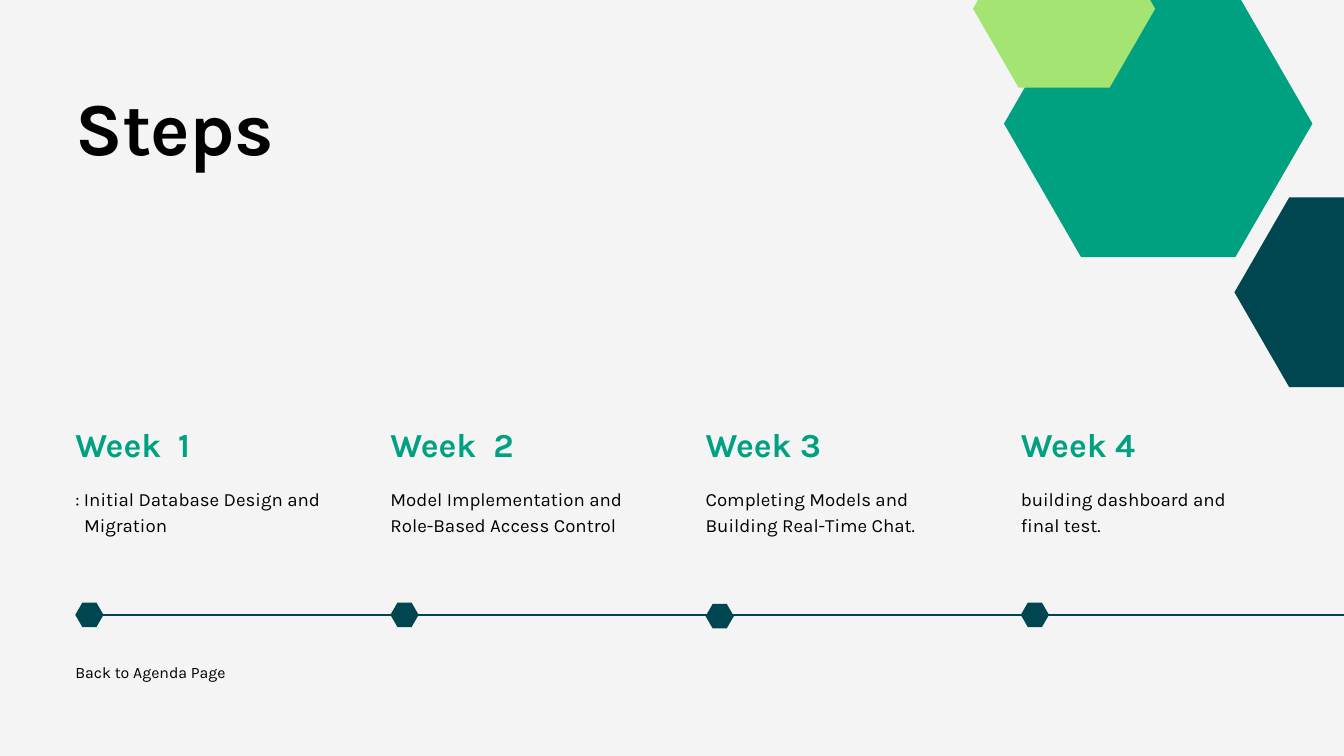
from pptx import Presentation
from pptx import util as u
from pptx.dml.color import RGBColor
from pptx.enum import shapes, text
from pptx.oxml.ns import qn
from lxml import etree

FONT = "Karla"
BLACK, GREEN, LIME, NAVY, PAPER = "000000", "00A181", "A4E473", "004651", "F4F4F4"
LEFT, STEP_GAP, STEP_WIDTH, LINE_Y = 1.12, 4.69, 3.68, 9.15
HEXAGON_RATIO = 3 ** 0.5 / 2
STEPS = [
    ("Week  1", ": Initial Database Design and Migration"),
    ("Week  2", "Model Implementation and Role-Based Access Control"),
    ("Week 3", "Completing Models and Building Real-Time Chat."),
    ("Week 4", "building dashboard and final test."),
]


def color(value):
    """Turn a hex string into a colour."""
    return RGBColor.from_string(value)


def write(box, words, size, leading, fill=BLACK, bold=False, spacing=0, hanging=0):
    """Fill a box with one formatted paragraph."""
    frame = box.text_frame
    frame.word_wrap = True
    frame.auto_size = text.MSO_AUTO_SIZE.NONE
    frame.vertical_anchor = text.MSO_ANCHOR.TOP
    frame.margin_left = frame.margin_top = 0
    frame.margin_right = frame.margin_bottom = 0
    para = frame.paragraphs[0]
    para.alignment = text.PP_ALIGN.LEFT
    para.line_spacing = u.Pt(leading)
    para.space_before = u.Pt(0)
    if hanging:
        properties = para._p.get_or_add_pPr()
        properties.set("marL", str(u.Inches(hanging)))
        properties.set("indent", str(-u.Inches(hanging)))
    span = para.add_run()
    span.text = words
    span.font.name = FONT
    span.font.size = u.Pt(size)
    span.font.bold = bold
    span.font.color.rgb = color(fill)
    if spacing:
        span.font._element.set("spc", str(round(spacing * 100)))


def add_text(page, left, top, width, height, words, **style):
    """Add a text box with one paragraph."""
    box = page.shapes.add_textbox(*map(u.Inches, (left, top, width, height)))
    write(box, words, **style)


def add_title(page, words):
    """Place and fill the title placeholder."""
    title = page.shapes.title
    title.left, title.top = u.Inches(LEFT), u.Inches(1.12)
    title.width, title.height = u.Inches(6.23), u.Inches(1.37)
    write(title, words, size=80, leading=102, bold=True, spacing=-0.8)


def add_hexagon(page, left, middle, width, fill):
    """Add a regular hexagon centred vertically on a height."""
    height = width * HEXAGON_RATIO
    hexagon = page.shapes.add_shape(
        shapes.MSO_SHAPE.HEXAGON,
        *map(u.Inches, (left, middle - height / 2, width, height)))
    hexagon.adjustments[0] = 0.25 / HEXAGON_RATIO
    hexagon.shadow.inherit = False
    hexagon.fill.solid()
    hexagon.fill.fore_color.rgb = color(fill)
    hexagon.line.fill.background()


def add_timeline(page):
    """Draw the line that runs to the slide's right edge."""
    line = page.shapes.add_connector(
        shapes.MSO_CONNECTOR.STRAIGHT,
        *map(u.Inches, (1.39, LINE_Y, 20, LINE_Y)))
    line.line.color.rgb = color(NAVY)
    line.line.width = u.Pt(1.5)
    etree.SubElement(line._element.spPr, qn("a:effectLst"))


def add_step(page, index, heading, detail):
    """Add a week's heading, description and marker."""
    left = LEFT + index * STEP_GAP
    add_text(page, left, 6.31, STEP_WIDTH, 0.6, heading,
             size=36, leading=43.2, fill=GREEN, bold=True)
    add_text(page, left, 7.2, STEP_WIDTH, 0.79, detail, size=20, leading=28,
             hanging=0.13 if detail.startswith(":") else 0)
    add_hexagon(page, left, LINE_Y + (0.02 if index == 2 else 0), 0.42, NAVY)


def main():
    """Build the deck and save it."""
    deck = Presentation()
    deck.slide_width, deck.slide_height = u.Inches(20), u.Inches(11.25)
    page = deck.slides.add_slide(deck.slide_layouts[5])
    page.background.fill.solid()
    page.background.fill.fore_color.rgb = color(PAPER)

    add_title(page, "Steps")
    add_timeline(page)
    for index, (heading, detail) in enumerate(STEPS):
        add_step(page, index, heading, detail)
    add_text(page, LEFT, 9.81, 5.72, 0.32, "Back to Agenda Page", size=17, leading=23.8)
    add_hexagon(page, 18.37, 4.35, 3.26, NAVY)
    add_hexagon(page, 14.94, 1.84, 4.59, GREEN)
    add_hexagon(page, 14.48, 0.13, 2.71, LIME)
    deck.save("out.pptx")


if __name__ == "__main__":
    main()
